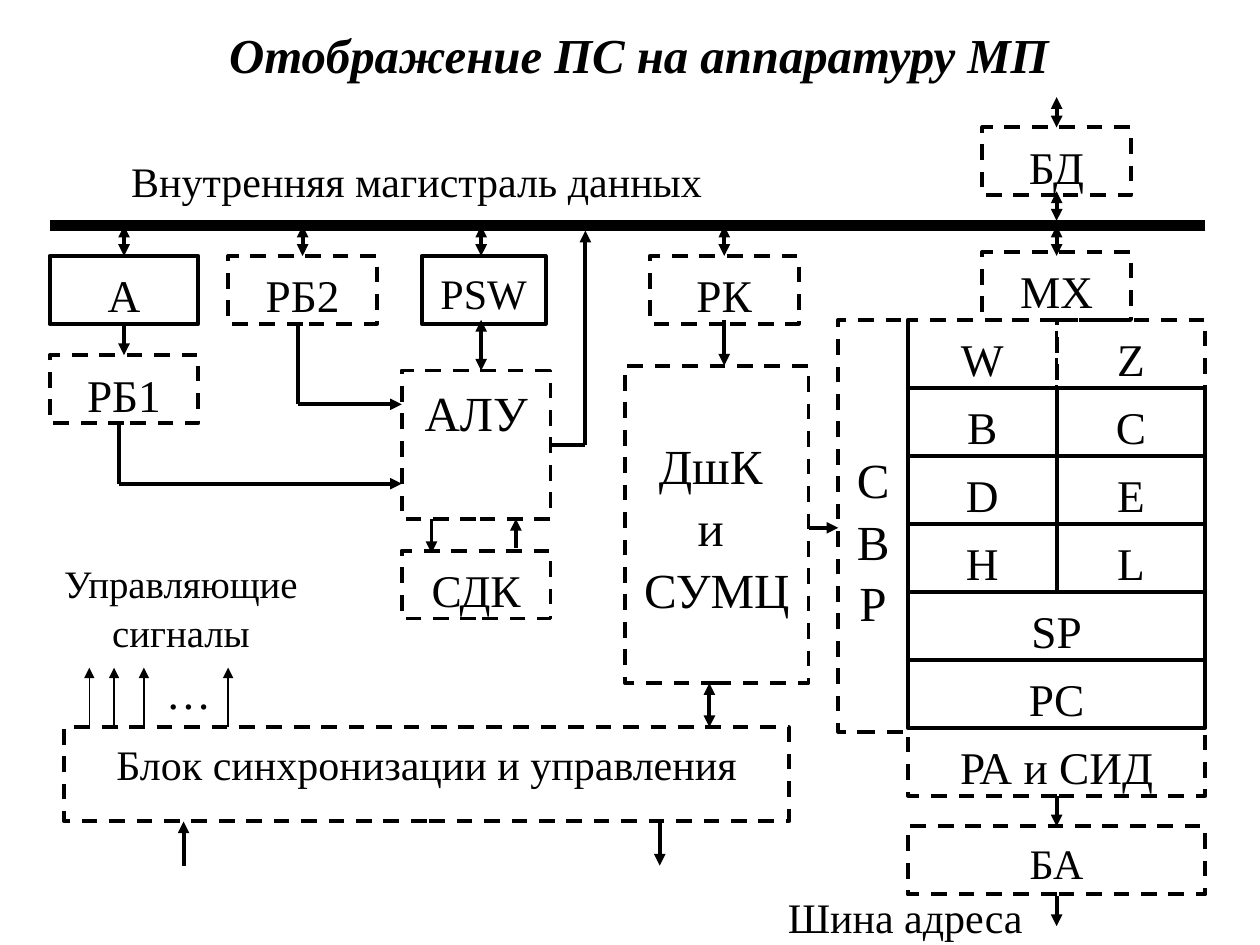
import lxml.etree
import pptx
import pptx.dml.color
import pptx.enum.dml
import pptx.enum.shapes
import pptx.enum.text
import pptx.oxml.ns
import pptx.util

Cm = pptx.util.Cm
Pt = pptx.util.Pt
qn = pptx.oxml.ns.qn

THEME = {
    "ink": pptx.dml.color.RGBColor(0, 0, 0),
    "font": "Times New Roman",
    "title": 27.9,
    "large": 28,
    "block": 25.9,
    "label": 24,
    "small": 22.2,
    "bus": 6,
    "line": 2.25,
    "thin": 0.75,
}


def write_text(box, text, size, top=0.18, bold=False, italic=False,
               anchor=pptx.enum.text.MSO_ANCHOR.TOP, spacing=1.05):
    frame = box.text_frame
    frame.text = text
    frame_format = {
        "word_wrap": True, "vertical_anchor": anchor,
        "margin_left": Cm(0.25), "margin_right": Cm(0.25),
        "margin_top": Cm(top), "margin_bottom": Cm(0.13),
    }
    for name, value in frame_format.items():
        setattr(frame, name, value)
    para = frame.paragraphs[0]
    para.alignment = pptx.enum.text.PP_ALIGN.CENTER
    para.line_spacing = spacing
    font_format = {"name": THEME["font"], "size": Pt(size), "bold": bold, "italic": italic}
    for span in para.runs:
        for name, value in font_format.items():
            setattr(span.font, name, value)
        span.font.color.rgb = THEME["ink"]


def draw_line(x1, y1, x2, y2, ends=(), width=THEME["line"]):
    line = page.shapes.add_connector(
        pptx.enum.shapes.MSO_CONNECTOR.STRAIGHT, Cm(x1), Cm(y1), Cm(x2), Cm(y2))
    line.line.color.rgb = THEME["ink"]
    line.line.width = Pt(width)
    properties = line._element.spPr
    outline = properties.find(qn("a:ln"))
    for end in ends:
        lxml.etree.SubElement(outline, qn("a:" + end), type="triangle")
    lxml.etree.SubElement(properties, qn("a:effectLst"))


deck = pptx.Presentation()
deck.slide_width, deck.slide_height = Cm(25.4), Cm(19.05)
page = deck.slides.add_slide(deck.slide_layouts[5])

# Title
title = page.shapes.title
title.left, title.top, title.width, title.height = Cm(0.53), Cm(0.33), Cm(24.7), Cm(1.5)
write_text(title, "Отображение ПС на аппаратуру МП", THEME["title"], top=0.13,
           bold=True, italic=True, anchor=pptx.enum.text.MSO_ANCHOR.MIDDLE, spacing=1)

# Blocks: text, left, top, width, height, size, dashed, top inset
UNIT, ROW = 3, 1.37
BLOCK_TOP = 5.16
block, label, large = THEME["block"], THEME["label"], THEME["large"]
blocks = [
    ("МХ", 19.8, 5.08, UNIT, ROW, block, True, 0.18),
    ("БД", 19.8, 2.57, UNIT, ROW, block, True, 0.18),
    ("БА", 18.3, 16.66, 2 * UNIT, ROW, label, True, 0.18),
    ("А", 1, BLOCK_TOP, UNIT, ROW, block, False, 0.18),
    ("РБ2", 4.6, BLOCK_TOP, UNIT, ROW, block, True, 0.18),
    ("PSW", 8.5, BLOCK_TOP, 2.5, ROW, label, False, 0.18),
    ("РК", 13.1, BLOCK_TOP, UNIT, ROW, block, True, 0.18),
    ("РБ1", 1, 7.16, UNIT, ROW, block, True, 0.18),
    ("АЛУ", 8.1, 7.47, UNIT, UNIT, large, True, 0.18),
    ("СДК", 8.1, 11.1, UNIT, ROW, block, True, 0.18),
    ("ДшК \vи \vСУМЦ", 12.6, 7.37, 3.7, 6.4, large, True, 1.36),
    ("СВР", 16.9, 6.45, 1.4, 8.3, large, True, 2.55),
    ("Блок синхронизации и управления", 1.3, 14.66, 14.6, 1.9, label, True, 0.18),
]

# Register file: one or two cells in each row
registers = [("W", "Z"), ("B", "C"), ("D", "E"), ("H", "L"), ("SP",), ("PC",), ("РА и СИД",)]
for row, names in enumerate(registers):
    width = 2 * UNIT / len(names)
    dashed = row in (0, len(registers) - 1)
    for column, name in enumerate(names):
        blocks.append((name, 18.3 + column * width, 6.45 + row * ROW,
                       width, ROW, block, dashed, 0.18))

for text, left, top, width, height, size, dashed, inset in blocks:
    box = page.shapes.add_shape(pptx.enum.shapes.MSO_SHAPE.RECTANGLE,
                                Cm(left), Cm(top), Cm(width), Cm(height))
    box.shadow.inherit = False
    box.fill.background()
    box.line.color.rgb = THEME["ink"]
    box.line.width = Pt(THEME["line"])
    if dashed:
        box.line.dash_style = pptx.enum.dml.MSO_LINE.DASH
    write_text(box, text, size, inset)

# Data bus and its two-way links
BUS = 4.55
draw_line(24.3, BUS, 1, BUS, width=THEME["bus"])
two_way = [(x, BUS, BUS + 0.61) for x in (2.5, 6.1, 9.7, 14.6, 21.3)]
two_way += [(21.3, 1.96, 2.57), (21.3, 3.86, 4.45), (9.7, 6.45, 7.47), (14.3, 13.77, 14.66)]
for x, start, end in two_way:
    draw_line(x, start, x, end, ("headEnd", "tailEnd"))

# Elbow segments without arrowheads
for segment in [(6, 6.55, 6, 8.15), (2.4, 8.56, 2.4, 9.75), (11.1, 8.97, 11.8, 8.97)]:
    draw_line(*segment)

# One-way arrows
one_way = [
    (21.3, 16.05, 21.3, 16.66), (21.3, 18.06, 21.3, 18.67),
    (16.3, 10.64, 16.9, 10.64), (14.6, 6.45, 14.6, 7.37),
    (2.5, 6.55, 2.5, 7.16), (6, 8.15, 8.1, 8.15), (2.4, 9.75, 8.1, 9.75),
    (11.8, 8.97, 11.8, 4.65), (8.7, 10.46, 8.7, 11.15), (10.4, 11.05, 10.4, 10.46),
    (13.3, 16.56, 13.3, 17.45), (3.7, 17.45, 3.7, 16.56),
]
for arrow in one_way:
    draw_line(*arrow, ends=("tailEnd",))

# Control signals
for x in (1.8, 2.3, 2.9, 4.6):
    draw_line(x, 14.66, x, 13.46, ("tailEnd",), THEME["thin"])

# Captions
captions = [
    ("Внутренняя магистраль данных", 1.3, 2.9, 14.2, ROW, label),
    ("…", 2.3, 13.16, UNIT, ROW, block),
    ("Управляющие сигналы", 0.8, 11.05, 5.7, 2.26, THEME["small"]),
    ("Шина адреса", 14.3, 17.75, 7.9, ROW, label),
]
for text, left, top, width, height, size in captions:
    box = page.shapes.add_textbox(Cm(left), Cm(top), Cm(width), Cm(height))
    write_text(box, text, size)

deck.save("out.pptx")
